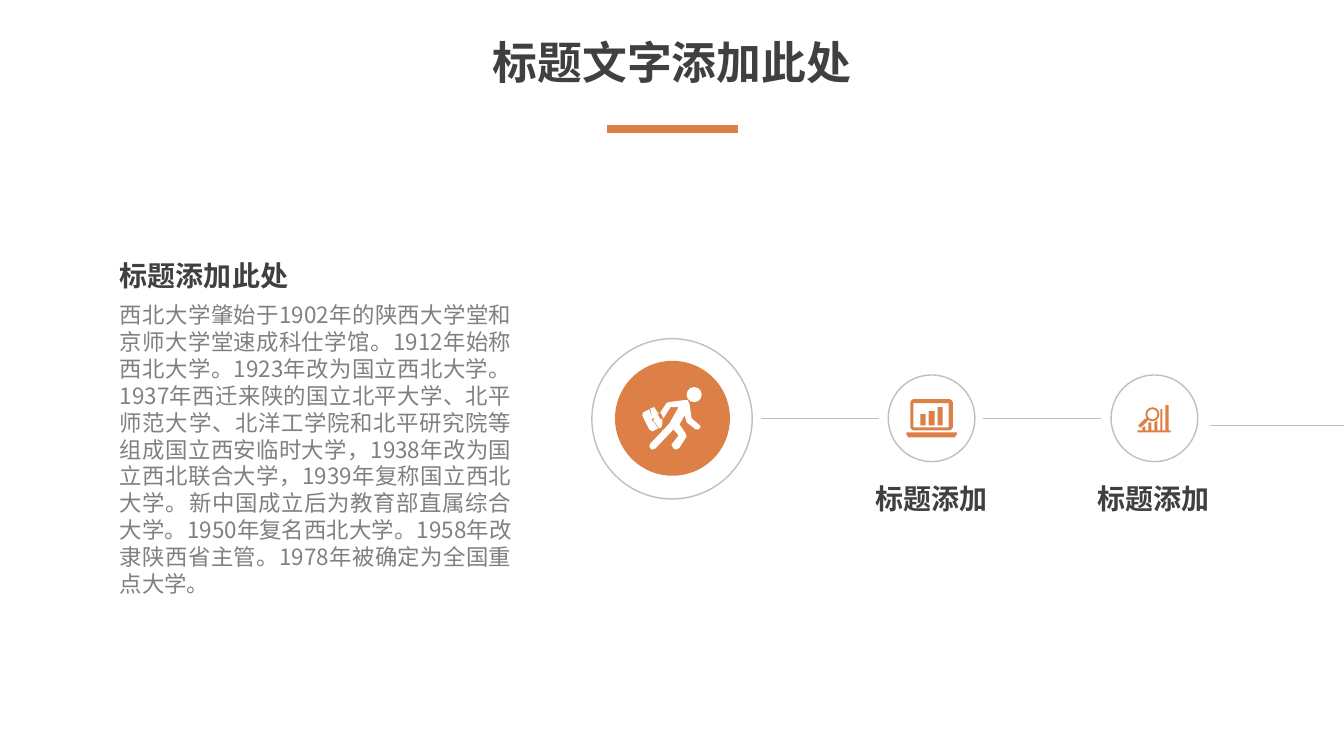
from pptx import Presentation
from pptx.util import Inches, Pt
from pptx.dml.color import RGBColor
from pptx.enum.lang import MSO_LANGUAGE_ID as Lang
from pptx.enum.shapes import MSO_CONNECTOR as Link, MSO_SHAPE as Kind
from pptx.enum.text import MSO_AUTO_SIZE as Fit, PP_ALIGN as Align
from pptx.oxml.ns import qn
from lxml import etree

FONT = "Noto Sans CJK SC"
COLORS = {"dark": "404040", "body": "808080", "line": "BFBFBF",
          "accent": "DD8047", "white": "FFFFFF"}
TONES = {name: RGBColor.from_string(code) for name, code in COLORS.items()}

deck = Presentation()
deck.slide_width, deck.slide_height = Inches(13.33), Inches(7.5)
slide = deck.slides.add_slide(deck.slide_layouts[6])
shapes = slide.shapes


def style(shape, fill=None, line=None):
    shape.shadow.inherit = False
    if fill:
        shape.fill.solid()
        shape.fill.fore_color.rgb = TONES[fill]
    else:
        shape.fill.background()
    if line:
        shape.line.color.rgb = TONES[line]
        shape.line.width = Pt(1)
    else:
        shape.line.fill.background()


def box(left, top, right, bottom):
    return [(left, top), (right, top), (right, bottom), (left, bottom)]


BODY = ("西北大学肇始于1902年的陕西大学堂和京师大学堂速成科仕学馆。1912年始称西北大学。"
        "1923年改为国立西北大学。1937年西迁来陕的国立北平大学、北平师范大学、"
        "北洋工学院和北平研究院等组成国立西安临时大学，1938年改为国立西北联合大学，"
        "1939年复称国立西北大学。新中国成立后为教育部直属综合大学。"
        "1950年复名西北大学。1958年改隶陕西省主管。1978年被确定为全国重点大学。")
texts = [
    ("标题文字添加此处", 4.77, 0.3, 3.79, 0.64, 32, "dark", Align.CENTER),
    ("标题添加此处", 1.09, 2.52, 1.88, 0.44, 20, "dark", Align.LEFT),
    (BODY, 1.09, 2.94, 4.08, 3.06, 16, "body", Align.JUSTIFY),
    ("标题添加", 8.58, 4.73, 1.32, 0.44, 20, "dark", Align.CENTER),
    ("标题添加", 10.78, 4.73, 1.32, 0.44, 20, "dark", Align.CENTER),
]
for words, left, top, width, height, size, tone, align in texts:
    frame = shapes.add_textbox(Inches(left), Inches(top),
                               Inches(width), Inches(height)).text_frame
    frame.word_wrap = tone == "body"
    frame.auto_size = Fit.SHAPE_TO_FIT_TEXT
    para = frame.paragraphs[0]
    para.alignment = align
    para.line_spacing = Pt(size * 1.2)
    run = para.add_run()
    run.text = words
    font = run.font
    font.name, font.size, font.bold = FONT, Pt(size), tone == "dark"
    font.color.rgb = TONES[tone]
    font.language_id = Lang.SIMPLIFIED_CHINESE
    etree.SubElement(font._element, qn("a:ea")).set("typeface", FONT)

lines = [(6.02, 7.32, 1.28, "accent", 6), (7.55, 8.72, 4.15, "line", 1),
         (9.75, 10.92, 4.15, "line", 1), (12, 13.33, 4.22, "line", 1)]
for start, end, level, tone, width in lines:
    rule = shapes.add_connector(Link.STRAIGHT, Inches(start), Inches(level),
                                Inches(end), Inches(level))
    rule.line.color.rgb = TONES[tone]
    rule.line.width = Pt(width)
    etree.SubElement(rule._element.spPr, qn("a:effectLst"))

rounds = [
    (Kind.OVAL, 6.1, 3.58, 1.14, "accent", None),
    (Kind.OVAL, 5.87, 3.36, 1.59, None, "line"),
    (Kind.OVAL, 8.81, 3.72, 0.86, None, "line"),
    (Kind.OVAL, 11.02, 3.72, 0.86, None, "line"),
    (Kind.OVAL, 6.81, 3.84, 0.15, "white", None),
    (Kind.DONUT, 11.36, 4.04, 0.14, "accent", None),
]
for kind, left, top, size, fill, line in rounds:
    disc = shapes.add_shape(kind, Inches(left), Inches(top),
                            Inches(size), Inches(size))
    style(disc, fill, line)
    if kind == Kind.DONUT:
        disc.adjustments[0] = 0.14

runner = [
    [(678, 397), (682, 397), (684, 401), (686, 415), (693, 421), (695, 423),
     (693, 426), (690, 426), (681, 419), (679, 412), (674, 421), (680, 430),
     (681, 433), (674, 444), (671, 446), (668, 445), (666, 441), (673, 432),
     (668, 426), (650, 445), (646, 446), (644, 443), (645, 440), (664, 420),
     (665, 418), (673, 404), (665, 404), (658, 415), (655, 409), (661, 400),
     (663, 399)],
    [(644, 406), (647, 415), (646, 417), (647, 417), (653, 425), (647, 428),
     (644, 426), (637, 412), (638, 409)],
    [(649, 404), (652, 409), (655, 410), (652, 410), (655, 416), (657, 415),
     (657, 420), (656, 424), (654, 425), (648, 417), (649, 415), (647, 415),
     (645, 405)],
]
laptop = [
    [(906, 396), (942, 396), (944, 397), (945, 399), (945, 424), (944, 426),
     (942, 427), (906, 427), (904, 426), (903, 424), (903, 399), (904, 397)],
    box(906, 400, 941, 424),
    box(913, 411, 918, 422), box(921, 408, 927, 422), box(930, 404, 935, 422),
    [(899, 429), (949, 429), (949, 431), (947, 434), (901, 434), (899, 431)],
]
chart = [
    box(1128, 427, 1161, 429), box(1156, 402, 1159, 427),
    box(1151, 406, 1153, 427),
    [(1145, 419), (1148, 417), (1148, 427), (1145, 427)],
    [(1139, 419), (1142, 419), (1142, 427), (1139, 427)],
    [(1133, 424), (1136, 423), (1136, 427), (1133, 427)],
    [(1135, 416), (1137, 415), (1139, 416), (1137, 419), (1132, 424),
     (1130, 424), (1129, 422)],
]
for icon, tone in ((runner, "white"), (laptop, "accent"), (chart, "accent")):
    pen = shapes.build_freeform(*icon[0][0], scale=Inches(0.01))
    pen.add_line_segments(icon[0][1:])
    for part in icon[1:]:
        pen.move_to(*part[0])
        pen.add_line_segments(part[1:])
    style(pen.convert_to_shape(), tone)

deck.save("out.pptx")
